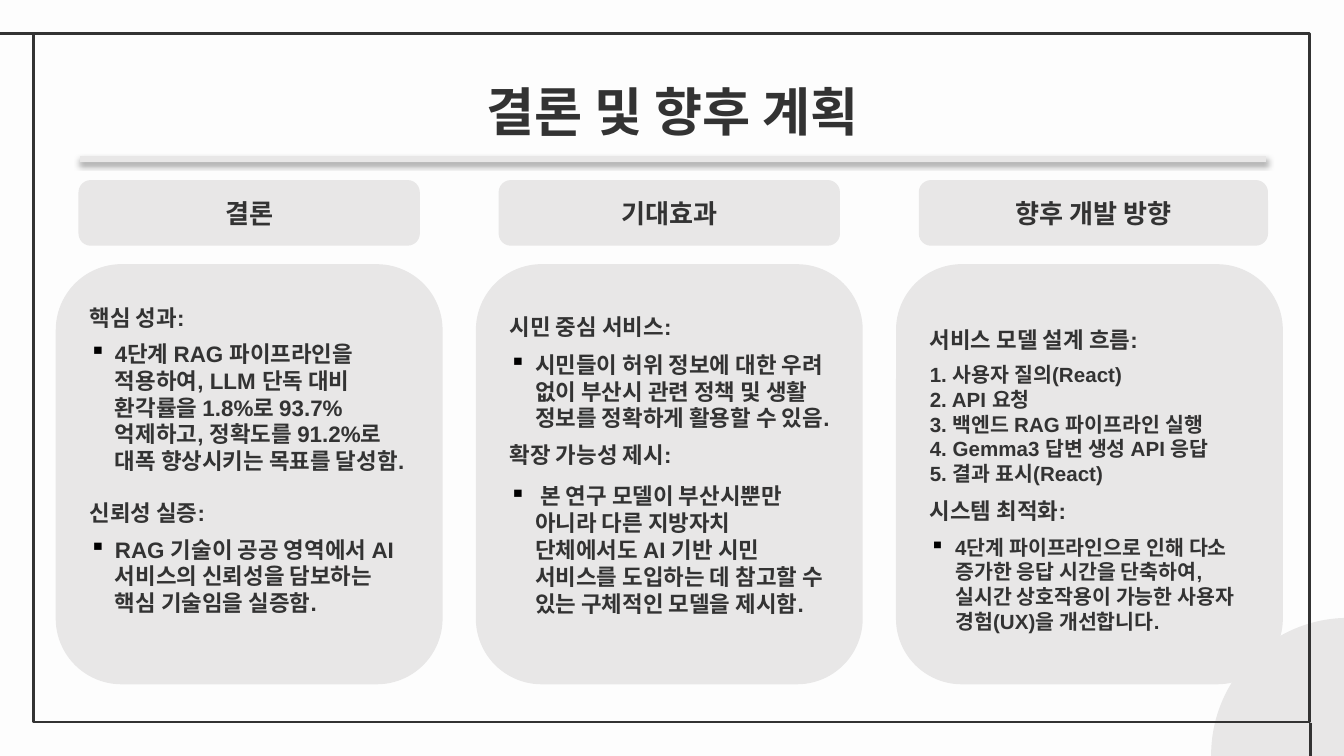
from dataclasses import dataclass

from lxml.etree import SubElement
from pptx import Presentation
from pptx.dml.color import RGBColor
from pptx.enum.shapes import MSO_CONNECTOR, MSO_SHAPE
from pptx.enum.text import MSO_ANCHOR, PP_ALIGN
from pptx.oxml import parse_xml
from pptx.oxml.ns import qn
from pptx.util import Cm, Pt

DRAWING_NS = 'xmlns:a="http://schemas.openxmlformats.org/drawingml/2006/main"'
SHADOW = (
    f'<a:effectLst {DRAWING_NS}><a:outerShdw blurRad="39370" dist="22860" '
    'dir="5400000" rotWithShape="0"><a:srgbClr val="000000">'
    '<a:alpha val="35000"/></a:srgbClr></a:outerShdw></a:effectLst>'
)
NO_EFFECT = f"<a:effectLst {DRAWING_NS}/>"


def color(value):
    return RGBColor.from_string(value)


@dataclass
class Deck:
    """Holds the style and the current slide, and draws each kind of element."""

    slide: object
    ink: str = "333333"
    panel_gray: str = "E8E7E7"
    paper: str = "FDFDFD"
    font: str = "Arial"

    def background(self):
        fill = self.slide.background.fill
        fill.solid()
        fill.fore_color.rgb = color(self.paper)

    def shape(self, kind, box, fill=None, line=None, width=2):
        shape = self.slide.shapes.add_shape(kind, *map(Cm, box))
        shape.shadow.inherit = False
        if fill:
            shape.fill.solid()
            shape.fill.fore_color.rgb = color(fill)
        else:
            shape.fill.background()
        if line:
            shape.line.color.rgb = color(line)
            shape.line.width = Pt(width)
        else:
            shape.line.fill.background()
        return shape

    def line(self, start, end, stroke, width, effect=NO_EFFECT):
        line = self.slide.shapes.add_connector(
            MSO_CONNECTOR.STRAIGHT, *map(Cm, start + end))
        line.line.color.rgb = color(stroke)
        line.line.width = Pt(width)
        line._element.spPr.append(parse_xml(effect))

    def style_text(self, paragraph, text, size, align=PP_ALIGN.LEFT):
        paragraph.text = text
        paragraph.alignment = align
        for run in paragraph.runs:
            run.font.name = self.font
            run.font.size = Pt(size)
            run.font.bold = True
            run.font.color.rgb = color(self.ink)

    def bullet(self, paragraph):
        properties = paragraph._p.get_or_add_pPr()
        properties.set("marL", str(Cm(0.48)))
        properties.set("indent", str(-Cm(0.48)))
        bullet_color = SubElement(properties, qn("a:buClr"))
        SubElement(bullet_color, qn("a:srgbClr"), val="000000")
        SubElement(properties, qn("a:buChar"), char="▪")

    def title(self, text, box):
        title = self.slide.shapes.add_textbox(*map(Cm, box))
        frame = title.text_frame
        frame.word_wrap = True
        frame.margin_top = frame.margin_bottom = Cm(0.25)
        self.style_text(frame.paragraphs[0], text, 28, PP_ALIGN.CENTER)

    def header(self, text, box):
        header = self.shape(MSO_SHAPE.ROUNDED_RECTANGLE, box,
                            self.panel_gray, self.panel_gray)
        frame = header.text_frame
        frame.word_wrap = True
        frame.vertical_anchor = MSO_ANCHOR.MIDDLE
        self.style_text(frame.paragraphs[0], text, 14, PP_ALIGN.CENTER)

    def panel(self, box, top_inset, items):
        panel = self.shape(MSO_SHAPE.ROUNDED_RECTANGLE, box,
                           self.panel_gray, self.panel_gray)
        frame = panel.text_frame
        frame.word_wrap = True
        frame.vertical_anchor = MSO_ANCHOR.TOP
        frame.margin_top = Cm(top_inset)
        for index, (role, text, size, gap) in enumerate(items):
            paragraph = frame.add_paragraph() if index else frame.paragraphs[0]
            if role == "bullet":
                self.bullet(paragraph)
            self.style_text(paragraph, text, size)
            if gap:
                paragraph.space_before = Pt(gap)


COLUMNS = [
    ("결론", 6.38, 0.36, [
        ("heading", "핵심 성과:", 12, 0),
        ("bullet", "4단계 RAG 파이프라인을 적용하여, LLM 단독 대비 환각률을 1.8%로 "
                   "93.7% 억제하고, 정확도를 91.2%로 대폭 향상시키는 목표를 달성함.", 12, 5),
        ("heading", "신뢰성 실증:", 12, 13.5),
        ("bullet", "RAG 기술이 공공 영역에서 AI 서비스의 신뢰성을 담보하는 "
                   "핵심 기술임을 실증함.", 12, 5),
    ]),
    ("기대효과", 6.38, 0.53, [
        ("heading", "시민 중심 서비스:", 12, 0),
        ("bullet", "시민들이 허위 정보에 대한 우려 없이 부산시 관련 정책 및 "
                   "생활 정보를 정확하게 활용할 수 있음.", 12, 6),
        ("heading", "확장 가능성 제시:", 12, 5),
        ("bullet", " 본 연구 모델이 부산시뿐만 아니라 다른 지방자치 단체에서도 AI 기반 "
                   "시민 서비스를 도입하는 데 참고할 수 있는 구체적인 모델을 제시함.", 12, 8),
    ]),
    ("향후 개발 방향", 6.53, 0.78, [
        ("heading", "서비스 모델 설계 흐름:", 12, 0),
        ("step", "1. 사용자 질의(React)", 11, 5),
        ("step", "2. API 요청", 11, 0),
        ("step", "3. 백엔드 RAG 파이프라인 실행", 11, 0),
        ("step", "4. Gemma3 답변 생성 API 응답", 11, 0),
        ("step", "5. 결과 표시(React)", 11, 0),
        ("heading", "시스템 최적화:", 12, 6),
        ("bullet", "4단계 파이프라인으로 인해 다소 증가한 응답 시간을 단축하여, "
                   "실시간 상호작용이 가능한 사용자 경험(UX)을 개선합니다.", 11, 6),
    ]),
]
COLUMN_PITCH = 7.94


def main():
    presentation = Presentation()
    presentation.slide_width, presentation.slide_height = Cm(25.4), Cm(14.29)
    deck = Deck(presentation.slides.add_slide(presentation.slide_layouts[6]))

    deck.background()
    deck.shape(MSO_SHAPE.OVAL, (22.89, 11.68, 5.18, 5.18), deck.panel_gray)
    deck.shape(MSO_SHAPE.RECTANGLE, (0.64, 0.64, 24.11, 13.01),
               line=deck.ink, width=1.5)
    deck.line((0.66, 0.64), (0, 0.64), deck.ink, 1.5)
    deck.line((24.76, 13.66), (24.76, 14.29), deck.ink, 1.5)

    deck.title("결론 및 향후 계획", (2.01, 1.24, 21.41, 1.6))
    deck.line((1.52, 3), (23.93, 3), deck.panel_gray, 3, SHADOW)
    for column, (header, width, top_inset, items) in enumerate(COLUMNS):
        offset = column * COLUMN_PITCH
        deck.panel((1.09 + offset, 5.03, 7.24, 7.87), top_inset, items)
        deck.header(header, (1.52 + offset, 3.44, width, 1.17))

    presentation.save("out.pptx")


if __name__ == "__main__":
    main()
